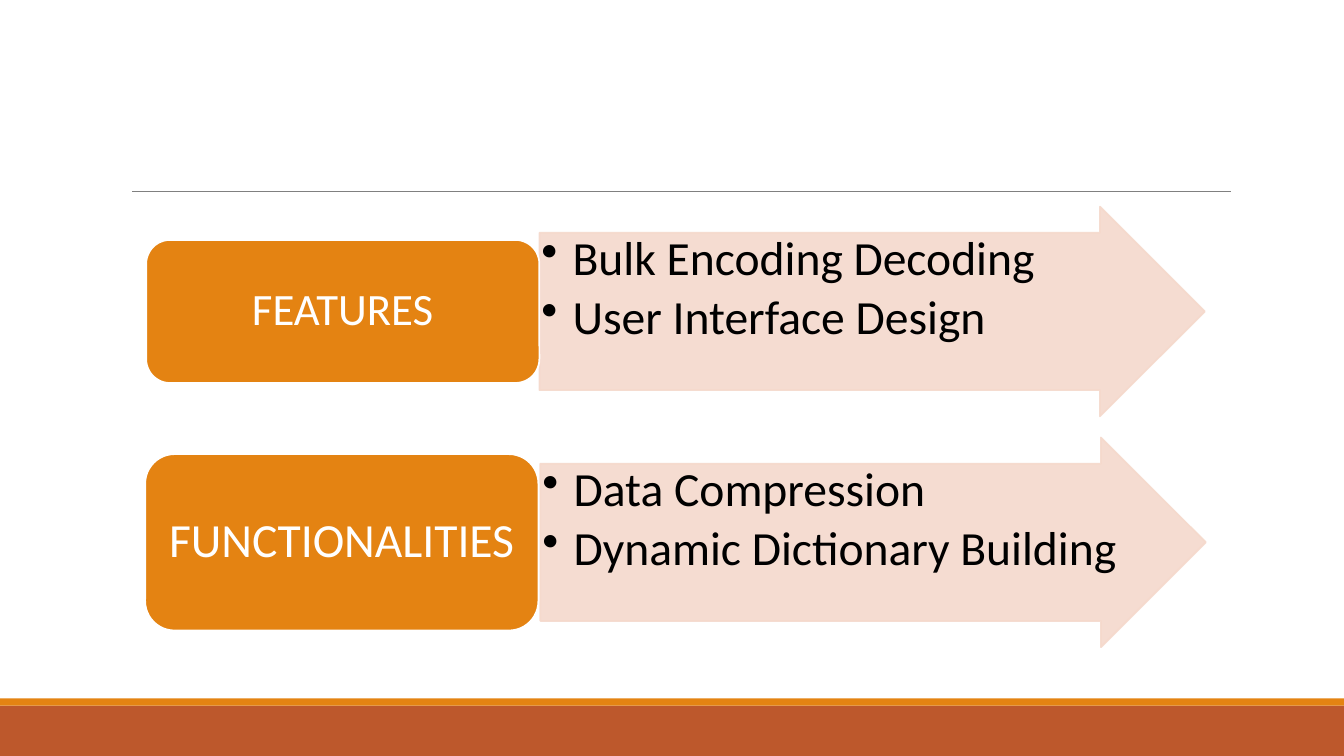
import pptx
import pptx.util
import pptx.dml.color
import pptx.enum.shapes
import pptx.enum.text
import pptx.oxml.ns
import lxml.etree

Inches = pptx.util.Inches
Pt = pptx.util.Pt
Kind = pptx.enum.shapes.MSO_SHAPE
Align = pptx.enum.text.PP_ALIGN
Anchor = pptx.enum.text.MSO_ANCHOR
qn = pptx.oxml.ns.qn

ORANGE, RUST, BLUSH = "E48312", "BD582C", "F5D9CC"
WHITE, BLACK, GRAY = "FFFFFF", "000000", "808080"


def color(code):
    return pptx.dml.color.RGBColor.from_string(code)


def add_sub(parent, tag, **attrs):
    return lxml.etree.SubElement(parent, qn(tag), **attrs)


def add_box(slide, kind, place, fill, line=None):
    box = slide.shapes.add_shape(kind, *map(Inches, place))
    box.shadow.inherit = False
    box.fill.solid()
    box.fill.fore_color.rgb = color(fill)
    if line:
        box.line.color.rgb = color(line)
        box.line.width = Pt(1.25)
    else:
        box.line.fill.background()
    return box


def set_text(box, lines, size, ink, align, anchor, pad):
    frame = box.text_frame
    frame.word_wrap = True
    frame.vertical_anchor = anchor
    frame.margin_left = frame.margin_right = Inches(pad[0])
    frame.margin_top = frame.margin_bottom = Inches(pad[1])
    frame.text = "\n".join(lines)
    for para in frame.paragraphs:
        para.alignment = align
        para.line_spacing = 0.9
        font = para.runs[0].font
        font.name = "Calibri"
        font.size = Pt(size)
        font.color.rgb = color(ink)


def add_arrow(slide, place, items):
    arrow = add_box(slide, Kind.RIGHT_ARROW, place, BLUSH, BLUSH)
    arrow.adjustments[0] = 0.75
    arrow.adjustments[1] = 0.5
    # Slight transparency of fill and outline
    for tint in list(arrow._element.spPr.iter(qn("a:srgbClr"))):
        add_sub(tint, "a:alpha", val="90000")
    set_text(arrow, items, 34, BLACK, Align.LEFT, Anchor.TOP, (0.02, 0.02))
    # Bullets with a hanging indent
    for para in arrow.text_frame.paragraphs:
        para.space_after = Pt(5)
        props = para._p.get_or_add_pPr()
        props.set("marL", str(Inches(0.31)))
        props.set("indent", str(-Inches(0.31)))
        add_sub(props, "a:buChar", char="•")


def add_label(slide, place, title, size):
    label = add_box(slide, Kind.ROUNDED_RECTANGLE, place, ORANGE, WHITE)
    set_text(label, [title], size, WHITE, Align.CENTER, Anchor.MIDDLE,
             (0.13, 0.07))


def add_rule(slide, left, right, top):
    rule = slide.shapes.add_connector(
        pptx.enum.shapes.MSO_CONNECTOR.STRAIGHT,
        *map(Inches, (left, top, right, top)))
    rule.line.color.rgb = color(GRAY)
    rule.line.width = Pt(0.5)
    add_sub(rule._element.spPr, "a:effectLst")


def main():
    deck = pptx.Presentation()
    deck.slide_width = Inches(13.33)
    deck.slide_height = Inches(7.5)
    slide = deck.slides.add_slide(deck.slide_layouts[6])

    # Footer bands and title rule
    add_box(slide, Kind.RECTANGLE, (0, 7, 13.33, 0.5), RUST)
    add_box(slide, Kind.RECTANGLE, (0, 6.93, 13.33, 0.07), ORANGE)
    add_rule(slide, 1.31, 12.21, 1.9)

    # Each row: an arrow with bullets and a label centred on its height
    rows = [
        ("FEATURES", 32, 1.45, 1.42, 5.35, 2.05,
         ["Bulk Encoding Decoding", "User Interface Design"]),
        ("FUNCTIONALITIES", 34, 1.44, 1.75, 5.36, 4.34,
         ["Data Compression", "Dynamic Dictionary Building"]),
    ]
    deep = 2.08
    for title, size, left, tall, start, top, items in rows:
        add_arrow(slide, (start, top, 6.6, deep), items)
        add_label(slide, (left, top + (deep - tall) / 2, 3.9, tall),
                  title, size)

    deck.save("out.pptx")


if __name__ == "__main__":
    main()
